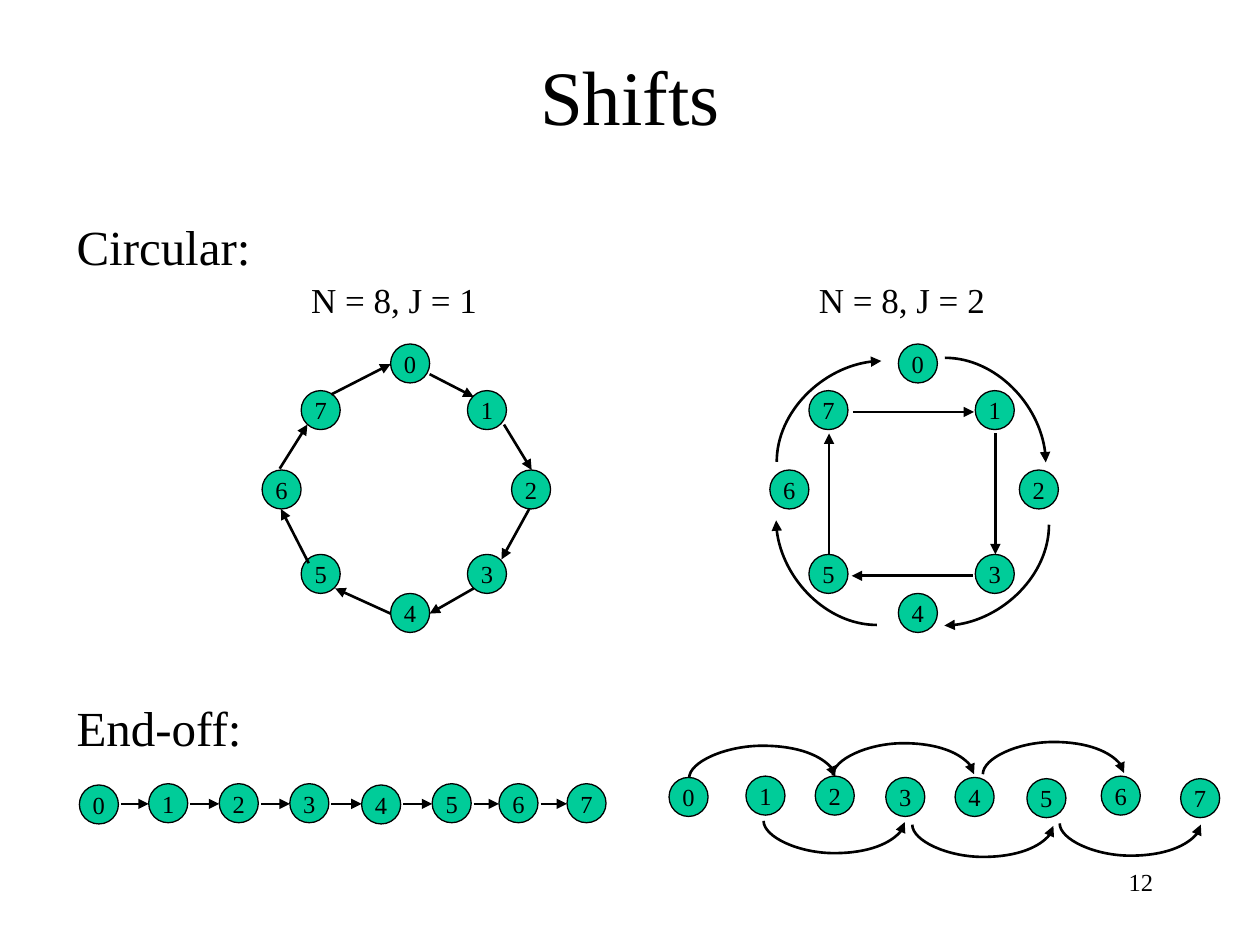
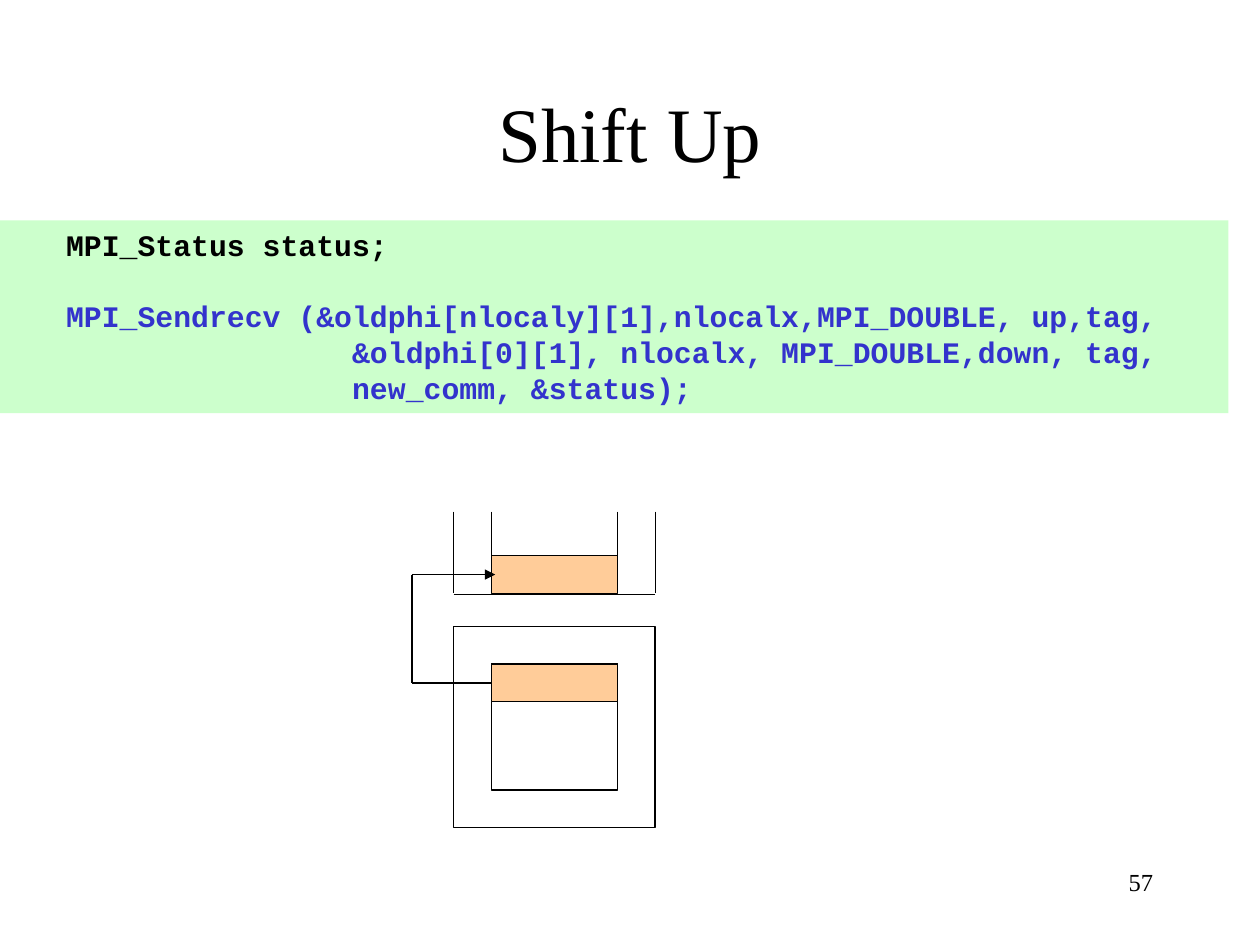
from dataclasses import dataclass

from lxml import etree
from pptx import Presentation
from pptx.dml.color import RGBColor
from pptx.enum.shapes import MSO_CONNECTOR as LINK, MSO_SHAPE as SHAPE
from pptx.enum.text import MSO_ANCHOR as ANCHOR, PP_ALIGN as ALIGN
from pptx.oxml.ns import qn
from pptx.util import Inches, Pt


@dataclass(frozen=True)
class Theme:
    ink: str = "000000"
    node: str = "00CC99"
    code_band: str = "CCFFCC"
    code_call: str = "3333CC"
    row: str = "FFCC99"
    font: str = "Times New Roman"
    code_font: str = "Courier New"
    title_size: int = 44
    heading_size: int = 28
    label_size: int = 20
    small_size: int = 14
    code_size: int = 17
    code_pitch: float = 20.4
    thin: float = 0.75
    thick: float = 1.5


THEME = Theme()

# Content: circular shifts (positions of the left ring; the right one is moved)
NODE_SIZE = 0.31
RING_STEP = 4.03
RING_NODES = [(3.1, 2.73), (3.71, 3.1), (4.06, 3.73), (3.71, 4.4),
              (3.1, 4.71), (2.39, 4.4), (2.08, 3.73), (2.39, 3.1)]
RING_LABELS = ["N = 8, J = 1", "N = 8, J = 2"]
RING_ARROWS = [
    (3.41, 2.97, 3.76, 3.15), (4, 3.37, 4.22, 3.73),
    (4.2, 4.04, 3.98, 4.44), (3.76, 4.67, 3.41, 4.87),
    (3.1, 4.87, 2.66, 4.67), (2.45, 4.47, 2.23, 4.04),
    (2.22, 3.72, 2.44, 3.37), (2.63, 3.13, 3.1, 2.89),
]
SQUARE_ARROWS = [(7.9, 3.44, 7.9, 4.4), (7.72, 4.57, 6.76, 4.57),
                 (6.58, 4.4, 6.58, 3.44), (6.77, 3.27, 7.73, 3.27)]
ARC_SIZE = (0.8, 0.83)
ARC_CORNERS = [(7.5, 2.84), (7.51, 4.15), (6.16, 4.13), (6.18, 2.85)]

# Content: end-off shifts
STEP_ROW = [(0.63, 6.23), (1.18, 6.22), (1.74, 6.22), (2.3, 6.22),
            (2.87, 6.23), (3.43, 6.22), (3.96, 6.22), (4.5, 6.22)]
STEP_ARROW_HEIGHT = 6.38
HOP_ROW = [(5.31, 6.17), (5.92, 6.16), (6.47, 6.16), (7.03, 6.17),
           (7.58, 6.17), (8.15, 6.18), (8.74, 6.16), (9.37, 6.18)]
HOPS_ABOVE = [(5.47, 6.17, 1.16), (6.61, 6.15, 1.12), (7.8, 6.14, 1.12)]
HOPS_BELOW = [(6.06, 6.52, 1.12), (7.24, 6.55, 1.12), (8.41, 6.54, 1.12)]
HOP_DEPTH = 0.26
HEADINGS = [("Circular:", 1.67), ("End-off:", 5.49)]

# Content: shift up (text, colour, blank lines before)
CODE = [
    ("   MPI_Status status;", THEME.ink, 0),
    ("   MPI_Sendrecv (&oldphi[nlocaly][1],nlocalx,MPI_DOUBLE, up,tag,",
     THEME.code_call, 1),
    ("                   &oldphi[0][1], nlocalx, MPI_DOUBLE,down, tag,",
     THEME.code_call, 0),
    ("                   new_comm, &status);", THEME.code_call, 0),
]
OUTER = (3.6, 5.2)
INNER = (3.9, 4.9)
UPPER_TOP, UPPER_BOTTOM = 4.06, 4.71
LOWER_TOP = 4.97
MARGIN = 0.3
SEND_PATH = [(3.93, 5.42), (3.27, 5.42), (3.27, 4.56), (3.93, 4.56)]


def inches(values):
    return [Inches(value) for value in values]


def color(value):
    return RGBColor.from_string(value)


def style(para, size, fill=THEME.ink, font=THEME.font, align=None, bold=False):
    para.alignment = align
    para.font.size = Pt(size)
    para.font.name = font
    para.font.bold = bold
    para.font.color.rgb = color(fill)


def add_text(page, text, area, size, align=ALIGN.LEFT, anchor=ANCHOR.TOP):
    box = page.shapes.add_textbox(*inches(area))
    frame = box.text_frame
    frame.word_wrap = True
    frame.vertical_anchor = anchor
    frame.text = text
    style(frame.paragraphs[0], size, align=align)


def add_box(page, kind, area, fill=None):
    box = page.shapes.add_shape(kind, *inches(area))
    box.shadow.inherit = False
    if fill:
        box.fill.solid()
        box.fill.fore_color.rgb = color(fill)
    else:
        box.fill.background()
    box.line.color.rgb = color(THEME.ink)
    box.line.width = Pt(THEME.thin)
    return box


def add_line(page, ends, width, arrow=True, kind=LINK.STRAIGHT):
    link = page.shapes.add_connector(kind, *inches(ends))
    link.line.color.rgb = color(THEME.ink)
    link.line.width = Pt(width)
    props = link.element.spPr
    if arrow:
        etree.SubElement(props.find(qn("a:ln")), qn("a:tailEnd"), type="triangle")
    etree.SubElement(props, qn("a:effectLst"))
    return props


def add_curve(page, area, turn, preset, flips=(), bend=None):
    """Curved arrow in an unturned frame, then turned clockwise by degrees."""
    left, top, width, height = area
    props = add_line(page, (left, top, left + width, top + height),
                     THEME.thick, kind=LINK.CURVE)
    frame = props.find(qn("a:xfrm"))
    frame.set("rot", str(turn * 60000))
    for flip in flips:
        frame.set(flip, "1")
    geometry = props.find(qn("a:prstGeom"))
    geometry.set("prst", preset)
    if bend is not None:
        guides = geometry.find(qn("a:avLst"))
        etree.SubElement(guides, qn("a:gd"), name="adj1",
                         fmla=f"val {round(bend * 100000)}")


def add_hop(page, start, level, span, above):
    width = 0.01
    area = (start + span / 2 - width / 2, level - span / 2, width, span)
    turn, flips = (90, ("flipH", "flipV")) if above else (270, ("flipH",))
    add_curve(page, area, turn, "curvedConnector3", flips, HOP_DEPTH / width)


def add_nodes(page, spots, shift=0):
    for number, (left, top) in enumerate(spots):
        node = add_box(page, SHAPE.OVAL,
                       (left + shift, top, NODE_SIZE, NODE_SIZE), THEME.node)
        frame = node.text_frame
        frame.word_wrap = False
        frame.vertical_anchor = ANCHOR.MIDDLE
        frame.text = str(number)
        style(frame.paragraphs[0], THEME.small_size, align=ALIGN.CENTER)


def add_page(deck, title, title_top, number):
    page = deck.slides.add_slide(deck.slide_layouts[6])
    add_text(page, title, (0.75, title_top, 8.5, 1.25), THEME.title_size,
             ALIGN.CENTER, ANCHOR.MIDDLE)
    add_text(page, str(number), (7.17, 6.83, 2.08, 0.5), THEME.small_size,
             ALIGN.RIGHT)
    return page


def build_shifts(deck):
    page = add_page(deck, "Shifts", 0.13, 12)
    for text, top in HEADINGS:
        add_text(page, text, (0.51, top, 2.24, 0.57), THEME.heading_size)

    # Circular shifts
    for ring, label in enumerate(RING_LABELS):
        shift = ring * RING_STEP
        add_nodes(page, RING_NODES, shift)
        add_text(page, label, (2.37 + shift, 2.16, 1.65, 0.44), THEME.label_size)
    for ends in RING_ARROWS + SQUARE_ARROWS:
        add_line(page, ends, THEME.thick)
    for quarter, corner in enumerate(ARC_CORNERS):
        add_curve(page, corner + ARC_SIZE, quarter * 90, "curvedConnector2")

    # End-off shifts
    add_nodes(page, STEP_ROW)
    for (left, _), (right, _) in zip(STEP_ROW, STEP_ROW[1:]):
        add_line(page, (left + 0.33, STEP_ARROW_HEIGHT, right, STEP_ARROW_HEIGHT),
                 THEME.thick)
    add_nodes(page, HOP_ROW)
    for hops, above in ((HOPS_ABOVE, True), (HOPS_BELOW, False)):
        for hop in hops:
            add_hop(page, *hop, above)


def build_shift_up(deck):
    page = add_page(deck, "Shift Up", 0.42, 57)

    # Code band
    band = page.shapes.add_textbox(*inches((0, 1.75, 9.75, 1.53)))
    band.fill.solid()
    band.fill.fore_color.rgb = color(THEME.code_band)
    frame = band.text_frame
    frame.word_wrap = True
    frame.text = "\n".join(text for text, _, _ in CODE)
    for para, (_, fill, gap) in zip(frame.paragraphs, CODE):
        para.line_spacing = Pt(THEME.code_pitch)
        if gap:
            para.space_before = Pt(gap * THEME.code_pitch)
        style(para, THEME.code_size, fill, THEME.code_font, bold=True)

    # Lower block with the row it sends
    outer_width, inner_width = OUTER[1] - OUTER[0], INNER[1] - INNER[0]
    inner_top = LOWER_TOP + MARGIN
    add_box(page, SHAPE.RECTANGLE, (OUTER[0], LOWER_TOP, outer_width, outer_width))
    add_box(page, SHAPE.RECTANGLE, (INNER[0], inner_top, inner_width, inner_width))
    add_box(page, SHAPE.RECTANGLE, (INNER[0], inner_top, inner_width, MARGIN),
            THEME.row)

    # Upper block, cut off at the top, with the row it receives
    add_box(page, SHAPE.RECTANGLE,
            (INNER[0], UPPER_BOTTOM - MARGIN, inner_width, MARGIN), THEME.row)
    for side in OUTER + INNER:
        add_line(page, (side, UPPER_TOP, side, UPPER_BOTTOM), THEME.thin, False)
    add_line(page, (OUTER[0], 4.72, OUTER[1], 4.72), THEME.thin, False)

    # Path from the sent row to the received row
    legs = list(zip(SEND_PATH, SEND_PATH[1:]))
    # The first leg stops at the edge of the sent row
    for index, (start, end) in enumerate(legs):
        if index == 0:
            start = (INNER[0], start[1])
        add_line(page, start + end, THEME.thin, arrow=index == len(legs) - 1)


def main():
    deck = Presentation()
    deck.slide_width, deck.slide_height = Inches(10), Inches(7.5)
    build_shifts(deck)
    build_shift_up(deck)
    deck.save("out.pptx")


if __name__ == "__main__":
    main()
